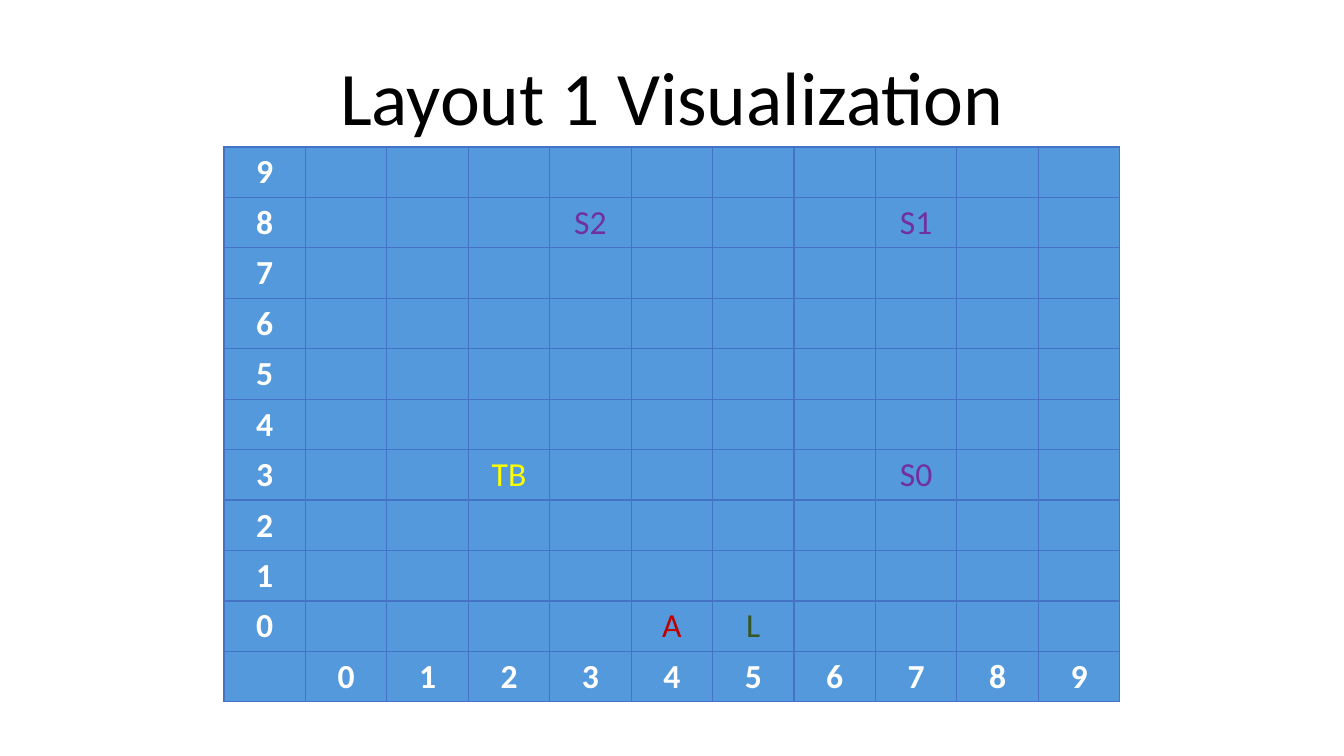
import pptx
import pptx.dml.color
import pptx.enum.text
import pptx.oxml
import pptx.oxml.ns
import pptx.util

Pt = pptx.util.Pt
FONT = "Calibri"
COLORS = {
    "title": "000000",
    "cell": "5499DB",
    "border": "4472C4",
    "axis": "FFFFFF",
    "station": "7030A0",
    "table": "FFFF00",
    "agent": "C00000",
    "load": "385723",
}
SIZE = 10  # positions along each axis
# (x, y): (label, colour)
MARKERS = {
    (3, 8): ("S2", "station"),
    (7, 8): ("S1", "station"),
    (7, 3): ("S0", "station"),
    (2, 3): ("TB", "table"),
    (4, 0): ("A", "agent"),
    (5, 0): ("L", "load"),
}


def rgb(name):
    return pptx.dml.color.RGBColor.from_string(COLORS[name])


def write_centred(frame, text, size, color, bold=False):
    frame.text = text
    paragraph = frame.paragraphs[0]
    paragraph.alignment = pptx.enum.text.PP_ALIGN.CENTER
    font = paragraph.runs[0].font
    font.name = FONT
    font.size = Pt(size)
    font.bold = bold
    font.color.rgb = rgb(color)


def add_title(slide, text):
    title = slide.shapes.add_textbox(Pt(120), Pt(39.5), Pt(720), Pt(65.5))
    frame = title.text_frame
    frame.word_wrap = True
    frame.vertical_anchor = pptx.enum.text.MSO_ANCHOR.BOTTOM
    write_centred(frame, text, 54, "title")
    frame.paragraphs[0].line_spacing = 0.9


def style_cell(cell):
    """Fill the cell, centre it vertically and give it four borders."""
    cell.vertical_anchor = pptx.enum.text.MSO_ANCHOR.MIDDLE
    cell.fill.solid()
    cell.fill.fore_color.rgb = rgb("cell")
    properties = cell._tc.get_or_add_tcPr()
    for index, side in enumerate(("lnL", "lnR", "lnT", "lnB")):
        border = pptx.oxml.parse_xml(
            f'<a:{side} {pptx.oxml.ns.nsdecls("a")} w="{Pt(1)}"><a:solidFill>'
            f'<a:srgbClr val="{COLORS["border"]}"/></a:solidFill></a:{side}>'
        )
        properties.insert(index, border)


def add_map(slide):
    """Draw the map with y labels on the left and x labels below."""
    count = SIZE + 1
    grid = slide.shapes.add_table(
        count, count, Pt(160), Pt(105), Pt(640), Pt(396)
    ).table
    grid.first_row = False
    grid.horz_banding = False
    for line in range(count):
        grid.columns[line].width = Pt(640 / count)
        grid.rows[line].height = Pt(36)
    for cell in grid.iter_cells():
        style_cell(cell)
    for position in range(SIZE):
        row_label = grid.cell(SIZE - 1 - position, 0)
        column_label = grid.cell(SIZE, position + 1)
        for cell in (row_label, column_label):
            write_centred(cell.text_frame, str(position), 24, "axis", bold=True)
    for (x, y), (label, color) in MARKERS.items():
        cell = grid.cell(SIZE - 1 - y, x + 1)
        write_centred(cell.text_frame, label, 24, color)


def main():
    deck = pptx.Presentation()
    deck.slide_width = Pt(960)
    deck.slide_height = Pt(540)
    slide = deck.slides.add_slide(deck.slide_layouts[6])
    add_title(slide, "Layout 1 Visualization")
    add_map(slide)
    deck.save("out.pptx")


if __name__ == "__main__":
    main()
